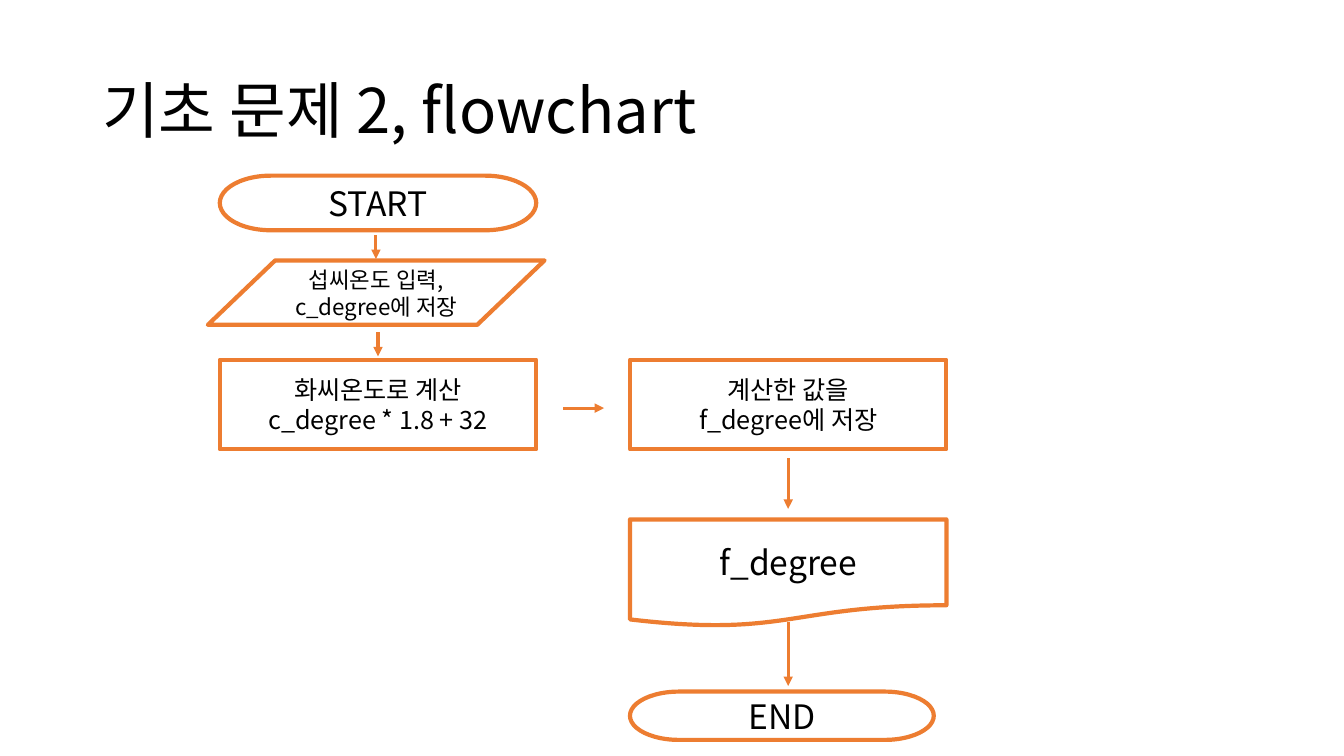
"""Build a flowchart slide for a Celsius to Fahrenheit exercise."""
from lxml import etree
from pptx import Presentation
from pptx.dml.color import RGBColor
from pptx.enum.shapes import MSO_CONNECTOR, MSO_SHAPE
from pptx.enum.text import MSO_ANCHOR, PP_ALIGN
from pptx.oxml.ns import qn
from pptx.util import Pt

STRAIGHT = MSO_CONNECTOR.STRAIGHT
TERMINATOR = MSO_SHAPE.FLOWCHART_TERMINATOR
DATA = MSO_SHAPE.FLOWCHART_DATA
DOCUMENT = MSO_SHAPE.FLOWCHART_DOCUMENT
RECTANGLE = MSO_SHAPE.RECTANGLE
MIDDLE = MSO_ANCHOR.MIDDLE
LEFT, CENTER = PP_ALIGN.LEFT, PP_ALIGN.CENTER

FONT = "Noto Sans CJK KR"
ORANGE, WHITE, BLACK = "ED7D31", "FFFFFF", "000000"
LEFT_COL, RIGHT_COL, BOX_W = 157, 450, 226
LEFT_MID, RIGHT_MID = LEFT_COL + BOX_W / 2, RIGHT_COL + BOX_W / 2
ROW_Y, ROW_H = 257, 64


def rgb(value):
    """Return the colour for a hex string."""
    return RGBColor.from_string(value)


def write(tf, lines, size, align):
    """Fill a text frame with one paragraph per line."""
    tf.word_wrap = True
    tf.vertical_anchor = MIDDLE
    for i, line in enumerate(lines):
        p = tf.add_paragraph() if i else tf.paragraphs[0]
        p.alignment = align
        r = p.add_run()
        r.text = line
        r.font.name = FONT
        r.font.size = Pt(size)
        r.font.color.rgb = rgb(BLACK)
        ea = etree.SubElement(r.font._element, qn("a:ea"))
        ea.set("typeface", FONT)


def add_title(s, text):
    """Add the slide title."""
    sp = s.shapes.add_textbox(Pt(66), Pt(28.8), Pt(828), Pt(104.4))
    write(sp.text_frame, [text], 44, LEFT)
    sp.text_frame.paragraphs[0].line_spacing = 0.9


def add_step(s, kind, x, y, w, h, lines, size):
    """Add one outlined flowchart step."""
    sp = s.shapes.add_shape(kind, Pt(x), Pt(y), Pt(w), Pt(h))
    sp.shadow.inherit = False
    sp.fill.solid()
    sp.fill.fore_color.rgb = rgb(WHITE)
    sp.line.color.rgb = rgb(ORANGE)
    sp.line.width = Pt(3)
    write(sp.text_frame, lines, size, CENTER)


def add_arrow(s, x1, y1, x2, y2):
    """Add a straight arrow between two points."""
    cxn = s.shapes.add_connector(STRAIGHT, Pt(x1), Pt(y1), Pt(x2), Pt(y2))
    cxn.line.color.rgb = rgb(ORANGE)
    cxn.line.width = Pt(2.25)
    tail = etree.SubElement(cxn.line._get_or_add_ln(), qn("a:tailEnd"))
    tail.set("type", "triangle")
    etree.SubElement(cxn._element.spPr, qn("a:effectLst"))


def main():
    """Build and save the slide."""
    prs = Presentation()
    prs.slide_width, prs.slide_height = Pt(960), Pt(540)
    s = prs.slides.add_slide(prs.slide_layouts[6])
    add_title(s, "기초 문제 2, flowchart")

    steps = [
        (TERMINATOR, LEFT_COL, 125.5, BOX_W, 39, ["START"], 24),
        (DATA, 148.5, 186, 240.5, 46, ["섭씨온도 입력, c_degree에 저장"], 16),
        (RECTANGLE, LEFT_COL, ROW_Y, BOX_W, ROW_H,
         ["화씨온도로 계산", "c_degree * 1.8 + 32"], 18),
        (RECTANGLE, RIGHT_COL, ROW_Y, BOX_W, ROW_H,
         ["계산한 값을", "f_degree에 저장"], 18),
        (DOCUMENT, RIGHT_COL, 371, BOX_W, 76.5, ["f_degree"], 24),
        (TERMINATOR, RIGHT_COL, 494, 217, 34.5, ["END"], 24),
    ]
    for step in steps:
        add_step(s, *step)

    row_mid = ROW_Y + ROW_H / 2 + 2.5
    arrows = [
        (LEFT_MID - 1.5, 168, LEFT_MID - 1.5, 185),
        (LEFT_MID, 237.5, LEFT_MID, 254.5),
        (402.5, row_mid, 431.5, row_mid),
        (RIGHT_MID, 327.5, RIGHT_MID, 363.5),
        (RIGHT_MID, 444, RIGHT_MID, 490),
    ]
    for arrow in arrows:
        add_arrow(s, *arrow)

    prs.save("out.pptx")


if __name__ == "__main__":
    main()
